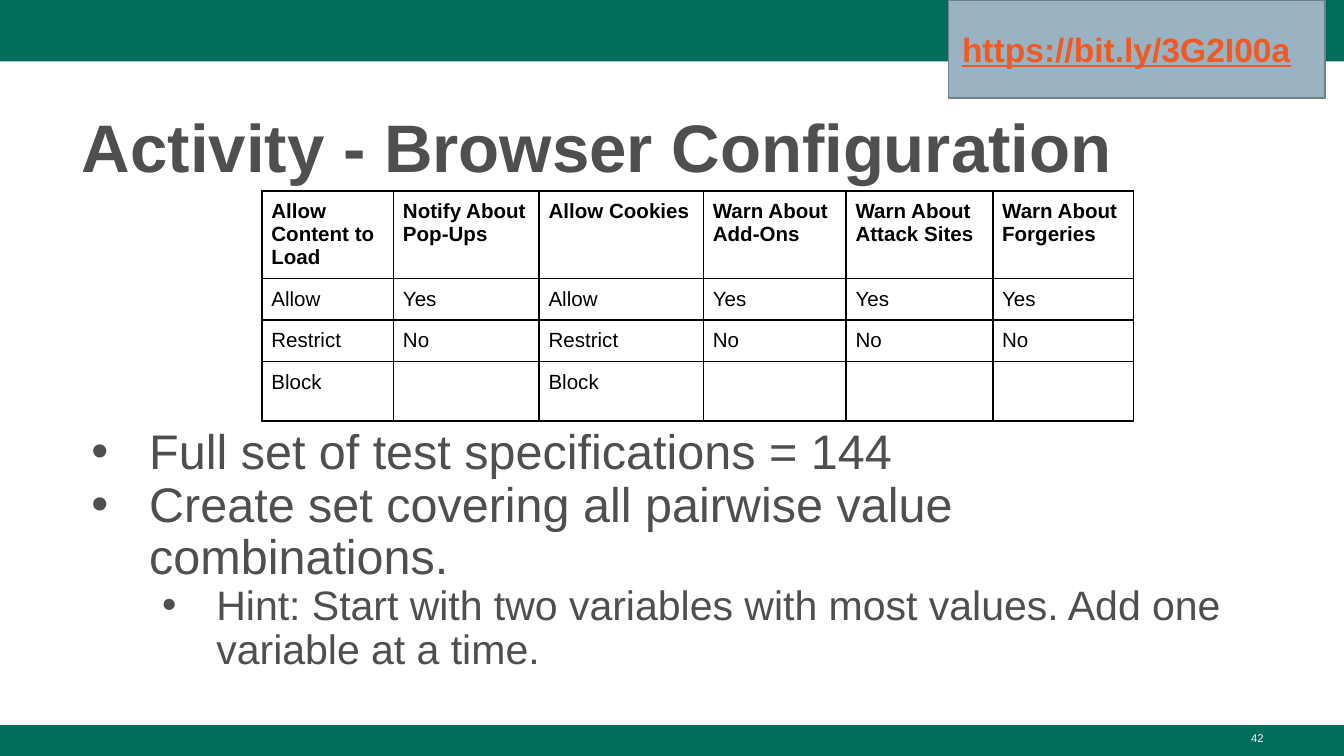
from lxml.etree import SubElement
from pptx import Presentation
from pptx.dml.color import RGBColor
from pptx.enum.shapes import MSO_SHAPE
from pptx.enum.text import MSO_ANCHOR, MSO_AUTO_SIZE, PP_ALIGN
from pptx.oxml.ns import qn
from pptx.util import Pt

TITLE = "Activity - Browser Configuration"
OPTIONS = [
    ("Allow Content to Load", "Notify About Pop-Ups", "Allow Cookies",
     "Warn About Add-Ons", "Warn About Attack Sites", "Warn About Forgeries"),
    ("Allow", "Yes", "Allow", "Yes", "Yes", "Yes"),
    ("Restrict", "No", "Restrict", "No", "No", "No"),
    ("Block", "", "Block", "", "", ""),
]
COLUMN_WIDTHS = (70.5, 78, 88, 76.5, 78.5, 75.5)
ROW_HEIGHTS = (46.8, 22.2, 22.2, 30.3)
BULLETS = [  # level, text
    (0, "Full set of test specifications = 144"),
    (0, "Create set covering all pairwise value combinations."),
    (1, "Hint: Start with two variables with most values. "
        "Add one variable at a time."),
]
BULLET_STYLES = [(26, 36, -31), (22, 72, -29)]  # size, margin, indent by level
LINK = "https://bit.ly/3G2I00a"
PAGE_NUMBER = "42"

FONT = "Arial"
GREEN = RGBColor(0x00, 0x6C, 0x5C)
GRAY = RGBColor(0x4F, 0x4F, 0x4F)
BLACK = RGBColor(0x00, 0x00, 0x00)
WHITE = RGBColor(0xFF, 0xFF, 0xFF)
PALE_BLUE = RGBColor(0x99, 0xB3, 0xC2)
SLATE = RGBColor(0x6F, 0x82, 0x8C)
ORANGE = RGBColor(0xF1, 0x59, 0x22)

SLIDE_WIDTH, SLIDE_HEIGHT = 720, 405
FOOTER_HEIGHT = 16.5


def place(shape, left, top, width, height):
    shape.left, shape.top = Pt(left), Pt(top)
    shape.width, shape.height = Pt(width), Pt(height)


def add_run(paragraph, text, size, color, bold=False):
    run = paragraph.add_run()
    run.text = text
    run.font.name = FONT
    run.font.size = Pt(size)
    run.font.bold = bold
    run.font.color.rgb = color
    return run


def set_frame(frame, anchor, sides, top, bottom):
    frame.word_wrap = True
    frame.auto_size = MSO_AUTO_SIZE.NONE
    frame.vertical_anchor = anchor
    frame.margin_left = frame.margin_right = Pt(sides)
    frame.margin_top, frame.margin_bottom = Pt(top), Pt(bottom)


def add_box(left, top, width, height, fill):
    box = slide.shapes.add_shape(MSO_SHAPE.RECTANGLE, Pt(left), Pt(top),
                                 Pt(width), Pt(height))
    box.shadow.inherit = False
    box.fill.solid()
    box.fill.fore_color.rgb = fill
    box.line.fill.background()
    return box


def add_bullet(paragraph, margin, indent):
    properties = paragraph._p.get_or_add_pPr()
    properties.set("marL", str(Pt(margin)))
    properties.set("indent", str(Pt(indent)))
    color = SubElement(properties, qn("a:buClr"))
    SubElement(color, qn("a:srgbClr"), val=str(GRAY))
    SubElement(properties, qn("a:buFont"), typeface=FONT)
    SubElement(properties, qn("a:buChar"), char="•")


def add_borders(cell):
    properties = cell._tc.get_or_add_tcPr()
    for position, side in enumerate(("lnL", "lnR", "lnT", "lnB")):
        line = properties.makeelement(qn(f"a:{side}"), {"w": str(Pt(1))})
        fill = SubElement(line, qn("a:solidFill"))
        SubElement(fill, qn("a:srgbClr"), val=str(BLACK))
        properties.insert(position, line)


presentation = Presentation()
presentation.slide_width = Pt(SLIDE_WIDTH)
presentation.slide_height = Pt(SLIDE_HEIGHT)
slide = presentation.slides.add_slide(presentation.slide_layouts[1])
title, body = slide.placeholders

# Bands and page number
footer_top = SLIDE_HEIGHT - FOOTER_HEIGHT
add_box(0, 0, SLIDE_WIDTH, 33, GREEN)
add_box(0, footer_top, SLIDE_WIDTH, FOOTER_HEIGHT, GREEN)
page = slide.shapes.add_textbox(Pt(516), Pt(footer_top), Pt(168),
                                Pt(FOOTER_HEIGHT))
set_frame(page.text_frame, MSO_ANCHOR.TOP, 7.2, 3.6, 3.6)
page_line = page.text_frame.paragraphs[0]
page_line.alignment = PP_ALIGN.RIGHT
add_run(page_line, PAGE_NUMBER, 6, WHITE)

# Title
place(title, 36.7, 48.2, 647.3, 52.6)
set_frame(title.text_frame, MSO_ANCHOR.BOTTOM, 7.2, 3.6, 1)
heading = title.text_frame.paragraphs[0]
heading.alignment = PP_ALIGN.LEFT
heading.line_spacing = 1.08
add_run(heading, TITLE, 36, GRAY, bold=True)

# Bullets
place(body, 36.7, 223.2, 647.3, 151.2)
set_frame(body.text_frame, MSO_ANCHOR.TOP, 7.2, 6, 3.6)
for index, (level, text) in enumerate(BULLETS):
    frame = body.text_frame
    paragraph = frame.add_paragraph() if index else frame.paragraphs[0]
    size, margin, indent = BULLET_STYLES[level]
    paragraph.level = level
    paragraph.line_spacing = 0.9
    paragraph.space_before = Pt(0)
    add_bullet(paragraph, margin, indent)
    add_run(paragraph, text, size, GRAY)

# Option table
table = slide.shapes.add_table(
    len(OPTIONS), len(COLUMN_WIDTHS), Pt(140.4), Pt(102.3),
    Pt(sum(COLUMN_WIDTHS)), Pt(sum(ROW_HEIGHTS))).table
table.horz_banding = False
for column, width in zip(table.columns, COLUMN_WIDTHS):
    column.width = Pt(width)
for row_index, (values, height) in enumerate(zip(OPTIONS, ROW_HEIGHTS)):
    table.rows[row_index].height = Pt(height)
    for column_index, value in enumerate(values):
        cell = table.cell(row_index, column_index)
        cell.fill.background()
        cell.margin_left = cell.margin_right = Pt(5)
        cell.margin_top = cell.margin_bottom = Pt(5)
        add_borders(cell)
        if value:
            add_run(cell.text_frame.paragraphs[0], value, 11, BLACK,
                    bold=row_index == 0)

# Link box
link_box = add_box(508.3, 0, 201.6, 52.6, PALE_BLUE)
link_box.line.color.rgb = SLATE
link_box.line.width = Pt(0.75)
set_frame(link_box.text_frame, MSO_ANCHOR.MIDDLE, 7.2, 7.2, 7.2)
link_line = link_box.text_frame.paragraphs[0]
link_line.alignment = PP_ALIGN.LEFT
add_run(link_line, LINK, 18, ORANGE, bold=True).font.underline = True

presentation.save("out.pptx")
